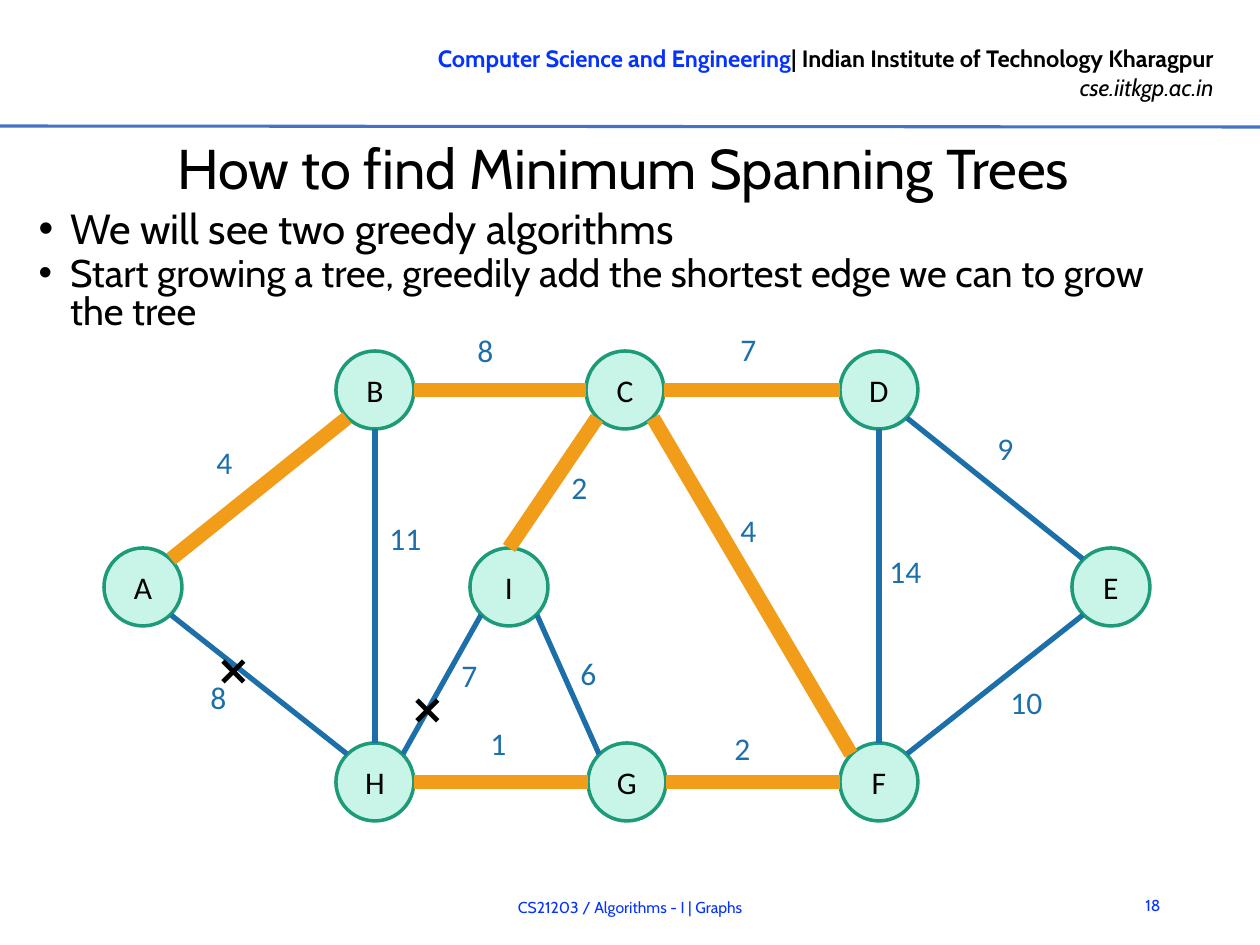
from lxml import etree
from pptx import Presentation, util as u
from pptx.dml.color import RGBColor
from pptx.enum import shapes, text
from pptx.oxml.ns import qn

BLACK, BLUE, EDGE, CHOSEN = "000000", "0432FF", "1D6FA9", "F19D19"
LEFT, CENTER, RIGHT = text.PP_ALIGN.LEFT, text.PP_ALIGN.CENTER, text.PP_ALIGN.RIGHT
TOP, MIDDLE = text.MSO_ANCHOR.TOP, text.MSO_ANCHOR.MIDDLE
RADIUS = 39
DIAGONAL = 0.71

# Unit offsets from a node's centre to the points where edges meet its rim
RIM = {
    "N": (0, -1), "S": (0, 1), "W": (-1, 0), "E": (1, 0),
    "NW": (-DIAGONAL, -DIAGONAL), "NE": (DIAGONAL, -DIAGONAL),
    "SW": (-DIAGONAL, DIAGONAL), "SE": (DIAGONAL, DIAGONAL),
}
NODES = {
    "A": (143, 587), "B": (375, 390), "C": (625, 390),
    "D": (879, 390), "E": (1111, 587), "F": (879, 782),
    "G": (627, 782), "H": (375, 782), "I": (509, 587),
}
# from, rim point, to, rim point, weight, weight position, in the tree
EDGES = [
    ("C", "SE", "F", "NW", "4", (728, 505), True),
    ("C", "E", "D", "W", "7", (728, 324), True),
    ("E", "NW", "D", "SE", "9", (985, 423), False),
    ("E", "SW", "F", "NE", "10", (998, 677), False),
    ("D", "S", "F", "N", "14", (877, 546), False),
    ("I", "SE", "G", "NW", "6", (568, 648), False),
    ("G", "E", "F", "W", "2", (722, 723), True),
    ("I", "N", "C", "SW", "2", (559, 462), True),
    ("B", "E", "C", "W", "8", (465, 325), True),
    ("A", "SE", "H", "NW", "8", (198, 672), False),
    ("G", "W", "H", "E", "1", (478, 718), True),
    ("I", "SW", "H", "NE", "7", (449, 650), False),
    ("H", "N", "B", "S", "11", (377, 513), False),
    ("A", "NE", "B", "SW", "4", (204, 437), True),
]
REJECTED_MARKS = [(401, 677), (207, 638)]


def px(length):
    return u.Emu(round(length * 914400 / 126))


def color(hex_code):
    return RGBColor.from_string(hex_code)


class Deck:
    heading_font = "Cabin"
    graph_font = "Calibri"

    def __init__(self):
        self.prs = Presentation()
        self.prs.slide_width, self.prs.slide_height = px(1260), px(945)
        self.slide = self.prs.slides.add_slide(self.prs.slide_layouts[1])

    def place(self, shape, box):
        shape.left, shape.top, shape.width, shape.height = map(px, box)

    def run(self, paragraph, words, size, hex_code, font, bold=False, italic=False):
        run = paragraph.add_run()
        run.text = words
        run.font.size, run.font.name = u.Pt(size), font
        run.font.bold, run.font.italic = bold, italic
        run.font.color.rgb = color(hex_code)

    def textbox(self, box, align=LEFT, anchor=TOP):
        """Add an empty box and return its text frame."""
        frame = self.slide.shapes.add_textbox(*map(px, box)).text_frame
        frame.word_wrap = True
        frame.vertical_anchor = anchor
        frame.paragraphs[0].alignment = align
        return frame

    def label(self, box, words, size, hex_code, font, align=LEFT, anchor=TOP):
        frame = self.textbox(box, align, anchor)
        self.run(frame.paragraphs[0], words, size, hex_code, font)

    def header(self):
        frame = self.textbox((334, 38, 892, 71), RIGHT)
        name = frame.paragraphs[0]
        self.run(name, "Computer Science and Engineering", 13.5, BLUE,
                 self.heading_font, bold=True)
        self.run(name, "| Indian Institute of Technology Kharagpur", 13.5, BLACK,
                 self.heading_font, bold=True)
        site = frame.add_paragraph()
        site.alignment = RIGHT
        self.run(site, "cse.iitkgp.ac.in", 13.5, BLACK, self.heading_font, italic=True)

    def title(self, words):
        title = self.slide.shapes.title
        self.place(title, (40, 132, 1167, 69))
        frame = title.text_frame
        frame.auto_size = text.MSO_AUTO_SIZE.NONE
        frame.vertical_anchor = MIDDLE
        frame.margin_left = frame.margin_right = frame.margin_bottom = 0
        frame.margin_top = px(1)
        frame.paragraphs[0].alignment = CENTER
        self.run(frame.paragraphs[0], words, 32, BLACK, self.heading_font)

    def bullets(self, items):
        body = self.slide.placeholders[1]
        self.place(body, (26, 209, 1181, 682))
        frame = body.text_frame
        frame.auto_size = text.MSO_AUTO_SIZE.NONE
        for index, (words, size) in enumerate(items):
            paragraph = frame.add_paragraph() if index else frame.paragraphs[0]
            props = paragraph._p.get_or_add_pPr()
            props.set("marL", str(u.Inches(0.25)))
            props.set("indent", str(-u.Inches(0.25)))
            etree.SubElement(props, qn("a:buFont")).set("typeface", "Arial")
            etree.SubElement(props, qn("a:buChar")).set("char", "•")
            paragraph.line_spacing = u.Pt(21.6)
            paragraph.space_before = u.Pt(1.3 if index else 0)
            paragraph.space_after = u.Pt(1.3)
            self.run(paragraph, words, size, BLACK, self.heading_font)

    def line(self, start, end, hex_code, width):
        line = self.slide.shapes.add_connector(
            shapes.MSO_CONNECTOR.STRAIGHT, *map(px, (*start, *end)))
        line.line.color.rgb = color(hex_code)
        line.line.width = u.Pt(width)
        etree.SubElement(line._element.spPr, qn("a:effectLst"))

    def node(self, name, center):
        x, y = center
        node = self.slide.shapes.add_shape(
            shapes.MSO_SHAPE.OVAL,
            *map(px, (x - RADIUS, y - RADIUS, 2 * RADIUS, 2 * RADIUS)))
        node.shadow.inherit = False
        node.fill.solid()
        node.fill.fore_color.rgb = color("C8F5E8")
        node.line.color.rgb = color("1D9A78")
        node.line.width = u.Pt(2)
        frame = node.text_frame
        frame.vertical_anchor = MIDDLE
        frame.paragraphs[0].alignment = CENTER
        self.run(frame.paragraphs[0], name, 18, BLACK, self.graph_font)

    def edge(self, start, start_rim, end, end_rim, in_tree):
        ends = []
        for name, rim in ((start, start_rim), (end, end_rim)):
            (x, y), (dx, dy) = NODES[name], RIM[rim]
            ends.append((round(x + RADIUS * dx), round(y + RADIUS * dy)))
        self.line(*ends, *((CHOSEN, 8.25) if in_tree else (EDGE, 3)))


def main():
    deck = Deck()
    deck.header()
    deck.line((0, 126), (1260, 127), "4472C4", 1.75)
    deck.title("How to find Minimum Spanning Trees")
    deck.bullets([
        ("We will see two greedy algorithms", 24),
        ("Start growing a tree, greedily add the shortest edge we can to grow the tree", 22),
    ])
    deck.label((208, 882, 844, 50), "CS21203 / Algorithms - I | Graphs", 9, BLUE,
               deck.heading_font, CENTER, MIDDLE)
    deck.label((1111, 880, 62, 50), "18", 9, BLUE, deck.heading_font, RIGHT, MIDDLE)

    for name, center in NODES.items():
        deck.node(name, center)
    for start, start_rim, end, end_rim, weight, position, in_tree in EDGES:
        deck.edge(start, start_rim, end, end_rim, in_tree)
        deck.label((*position, 108, 63), weight, 18, EDGE, deck.graph_font)
    for position in REJECTED_MARKS:
        deck.label((*position, 68, 63), "❌", 24, BLACK, deck.graph_font)

    deck.prs.save("out.pptx")


if __name__ == "__main__":
    main()
